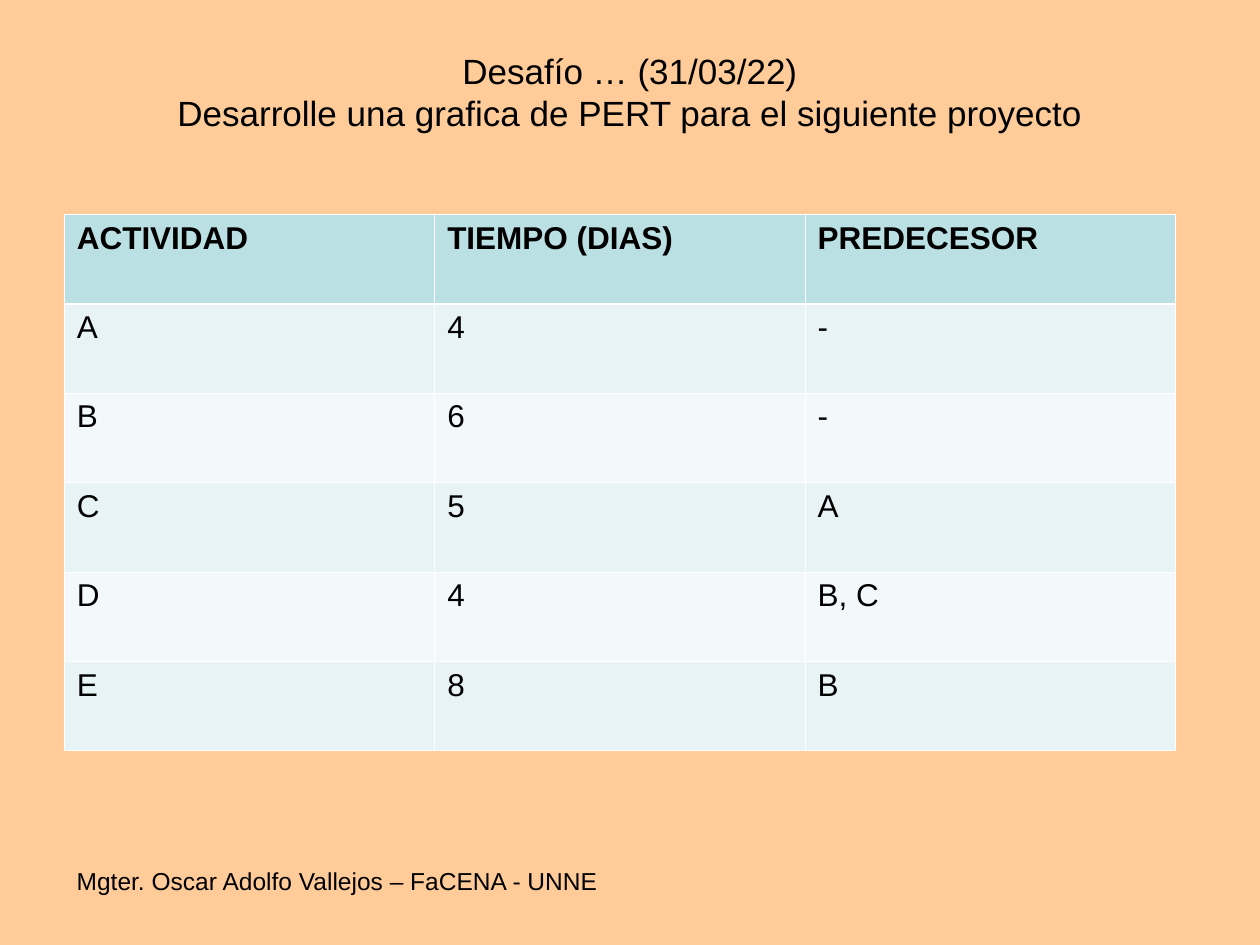
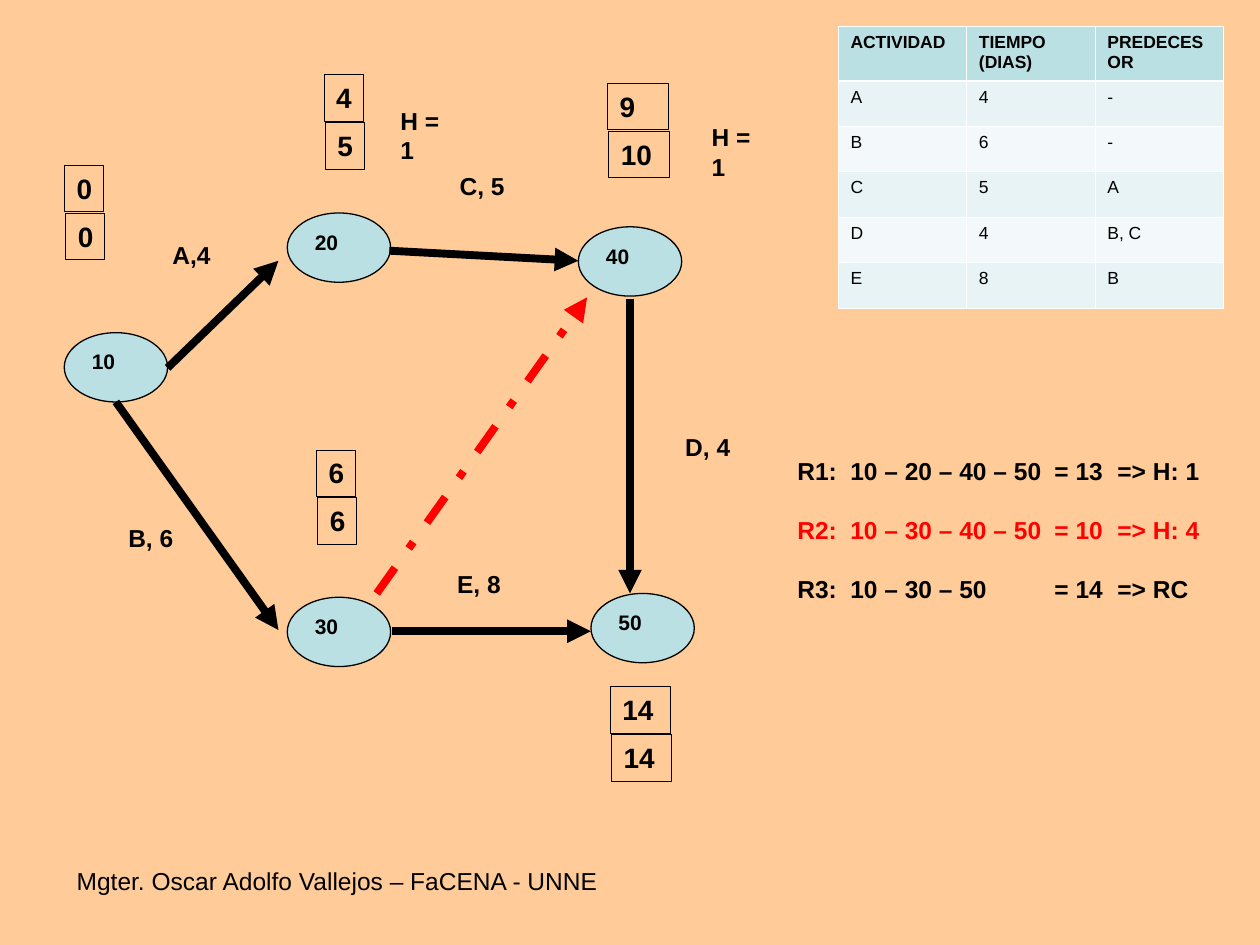
from lxml.etree import SubElement
from pptx import Presentation
from pptx.dml.color import RGBColor
from pptx.enum.dml import MSO_LINE_DASH_STYLE as Dash
from pptx.enum.shapes import MSO_CONNECTOR as Connector, MSO_SHAPE as Shape
from pptx.enum.text import MSO_ANCHOR as Anchor, PP_ALIGN as Align
from pptx.oxml.ns import qn
from pptx.util import Inches, Pt

BLACK = RGBColor(0, 0, 0)
RED = RGBColor(0xFF, 0, 0)
PEACH = RGBColor(0xFF, 0xCC, 0x99)
AQUA = RGBColor(0xBB, 0xE0, 0xE3)
BAND_DARK = RGBColor(0xE7, 0xF3, 0xF4)
BAND_LIGHT = RGBColor(0xF3, 0xF9, 0xFA)

FONT = "Arial"
FOOTER = "Mgter. Oscar Adolfo Vallejos – FaCENA - UNNE"
THIN, THICK = 0.45, 1.47

ACTIVITIES = [
    ("ACTIVIDAD", "TIEMPO (DIAS)", "PREDECESOR"),
    ("A", "4", "-"),
    ("B", "6", "-"),
    ("C", "5", "A"),
    ("D", "4", "B, C"),
    ("E", "8", "B"),
]


def write(paragraph, text, size=14, bold=False, color=BLACK, align=Align.LEFT,
          space_before=0, tabs=()):
    """Fill a paragraph; a vertical tab in the text is a line break."""
    paragraph.text = text
    paragraph.alignment = align
    paragraph.space_before = Pt(space_before)
    for run in paragraph.runs:
        font = run.font
        font.name, font.size, font.bold = FONT, Pt(size), bold
        font.color.rgb = color
    if tabs:
        tab_list = SubElement(paragraph._p.get_or_add_pPr(), qn("a:tabLst"))
        for position in tabs:
            SubElement(tab_list, qn("a:tab"), pos=str(Inches(position)), algn="l")


def set_borders(cell, top, bottom):
    properties = cell._tc.get_or_add_tcPr()
    for side, width in (("L", THIN), ("R", THIN), ("T", top), ("B", bottom)):
        line = SubElement(properties, qn(f"a:ln{side}"), w=str(Pt(width)))
        fill = SubElement(line, qn("a:solidFill"))
        SubElement(fill, qn("a:srgbClr"), val="FFFFFF")


class Deck:
    def __init__(self):
        self.presentation = Presentation()
        self.presentation.slide_width = Inches(10)
        self.presentation.slide_height = Inches(7.5)
        self.slide = None

    def new_slide(self):
        self.slide = self.presentation.slides.add_slide(self.presentation.slide_layouts[6])
        background = self.slide.background.fill
        background.solid()
        background.fore_color.rgb = PEACH
        self.text(0.51, 6.82, 5.75, 0.52, FOOTER)

    def text(self, left, top, width, height, *lines, anchor=Anchor.TOP, wrap=True, **style):
        box = self.slide.shapes.add_textbox(
            Inches(left), Inches(top), Inches(width), Inches(height))
        frame = box.text_frame
        frame.word_wrap = wrap
        frame.vertical_anchor = anchor
        for index, line in enumerate(lines):
            paragraph = frame.add_paragraph() if index else frame.paragraphs[0]
            write(paragraph, line, **style)
        return frame

    def shape(self, kind, left, top, width, height, text, size, line_width, fill=None):
        shape = self.slide.shapes.add_shape(
            kind, Inches(left), Inches(top), Inches(width), Inches(height))
        shape.shadow.inherit = False
        if fill is None:
            shape.fill.background()
        else:
            shape.fill.solid()
            shape.fill.fore_color.rgb = fill
        shape.line.color.rgb = BLACK
        shape.line.width = Pt(line_width)
        shape.text_frame.word_wrap = True
        shape.text_frame.vertical_anchor = Anchor.TOP
        write(shape.text_frame.paragraphs[0], text, size=size, bold=True)

    def event(self, left, top, number):
        self.shape(Shape.OVAL, left, top, 0.82, 0.55, number, 12, 0.75, AQUA)

    def times(self, left, top, width, earliest, latest):
        for row, value in enumerate((earliest, latest)):
            self.shape(Shape.RECTANGLE, left + 0.01 * row, top + 0.38 * row,
                       width, 0.37, value, 16, 0.25)

    def label(self, left, top, text):
        self.text(left, top, 0.56, 0.34, text, wrap=False, bold=True)

    def arrow(self, start, end, color=BLACK, dash=None):
        arrow = self.slide.shapes.add_connector(
            Connector.STRAIGHT, *(Inches(value) for value in start + end))
        arrow.line.color.rgb = color
        arrow.line.width = Pt(4.5)
        if dash is not None:
            arrow.line.dash_style = dash
        SubElement(arrow.line._get_or_add_ln(), qn("a:tailEnd"), type="triangle")
        SubElement(arrow._element.spPr, qn("a:effectLst"))

    def table(self, left, top, column_width, header_height, row_height, size):
        rows, columns = len(ACTIVITIES), len(ACTIVITIES[0])
        height = header_height + row_height * (rows - 1)
        table = self.slide.shapes.add_table(
            rows, columns, Inches(left), Inches(top),
            Inches(column_width * columns), Inches(height)).table
        table.first_row = table.horz_banding = False
        for column in table.columns:
            column.width = Inches(column_width)
        for index, values in enumerate(ACTIVITIES):
            header = index == 0
            table.rows[index].height = Inches(header_height if header else row_height)
            band = AQUA if header else BAND_DARK if index % 2 else BAND_LIGHT
            for cell, value in zip(table.rows[index].cells, values):
                set_borders(cell, top=THICK if index == 1 else THIN,
                            bottom=THICK if header else THIN)
                cell.fill.solid()
                cell.fill.fore_color.rgb = band
                write(cell.text_frame.paragraphs[0], value, size=size, bold=header)


def build_challenge(deck):
    deck.new_slide()
    deck.text(0.5, 0.3, 9, 0.85,
              "Desafío … (31/03/22)\vDesarrolle una grafica de PERT para el siguiente proyecto",
              anchor=Anchor.MIDDLE, size=20, align=Align.CENTER)
    deck.table(0.51, 1.7, 2.94, 0.71, 0.71, 18)


def build_solution(deck):
    deck.new_slide()
    deck.table(6.65, 0.21, 1.02, 0.43, 0.36, 10)

    # Events of the network
    for left, top, number in [(0.51, 2.64, "10"), (2.28, 1.69, "20"), (2.28, 4.74, "30"),
                              (4.59, 1.8, "40"), (4.69, 4.71, "50")]:
        deck.event(left, top, number)

    # Activities and the dummy activity
    for start, end in [((1.33, 2.92), (2.21, 2.07)), ((0.92, 3.19), (2.21, 5)),
                       ((3.09, 1.99), (4.59, 2.07)), ((3.11, 5.01), (4.69, 5.01)),
                       ((5, 2.37), (5, 4.71))]:
        deck.arrow(start, end)
    deck.arrow((2.99, 4.71), (4.66, 2.36), color=RED, dash=Dash.DASH_DOT)

    # Activity names and slack
    for left, top, text in [(1.27, 1.86, "A,4"), (0.92, 4.1, "B, 6"), (3.55, 1.31, "C, 5"),
                            (5.34, 3.38, "D, 4"), (3.53, 4.47, "E, 8"),
                            (3.08, 0.79, "H = 1"), (5.55, 0.92, "H = 1")]:
        deck.label(left, top, text)

    # Earliest and latest times
    for left, top, width, earliest, latest in [
            (0.51, 1.31, 0.31, "0", "0"), (2.57, 0.59, 0.31, "4", "5"),
            (2.51, 3.57, 0.31, "6", "6"), (4.82, 0.66, 0.48, "9", "10"),
            (4.84, 5.45, 0.48, "14", "14")]:
        deck.times(left, top, width, earliest, latest)

    # Routes
    routes = deck.text(6.23, 3.57, 3.49, 1.27,
                       "R1:\t10 – 20 – 40 – 50\t= 13\t=> H: 1",
                       "R2:\t10 – 30 – 40 – 50\t= 10\t=> H: 4",
                       "R3:\t10 – 30 – 50\t= 14\t=> RC",
                       bold=True, tabs=(0.42, 2.04, 2.54))
    for paragraph in routes.paragraphs[1:]:
        paragraph.space_before = Pt(17)
    for run in routes.paragraphs[1].runs:
        run.font.color.rgb = RED


def main():
    deck = Deck()
    build_challenge(deck)
    build_solution(deck)
    deck.presentation.save("out.pptx")


if __name__ == "__main__":
    main()
